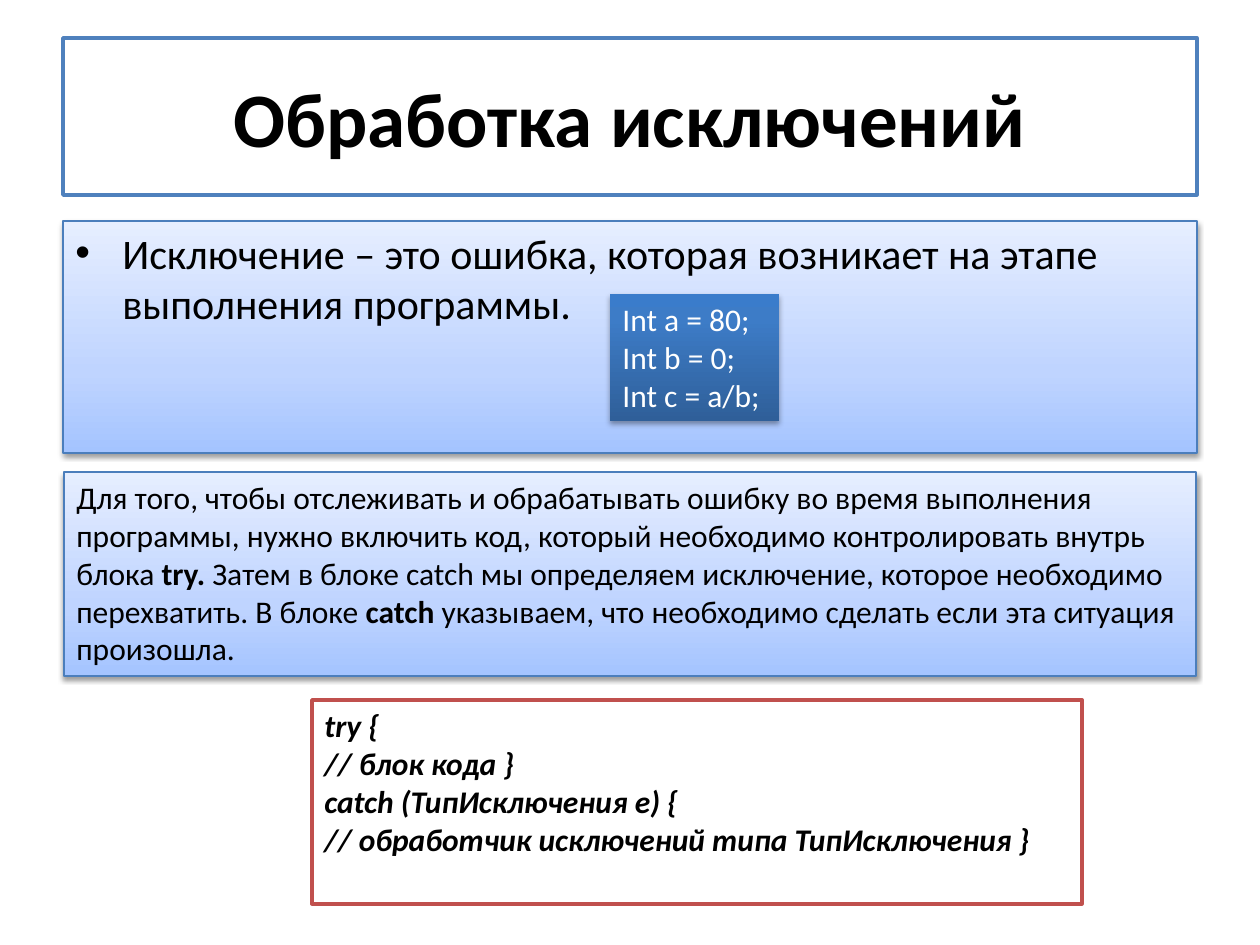
from copy import deepcopy

from lxml import etree
from pptx import Presentation
from pptx import util as u
from pptx.dml.color import RGBColor
from pptx.enum import shapes, text
from pptx.oxml.ns import qn

PX = u.Inches(1) / 126
PALE_BLUE = [(0, "A4C4FF"), (0.35, "BFD4FF"), (1, "E6EEFF")]
DEEP_BLUE = [(0, "2F5F99"), (0.8, "3D7CC7"), (1, "3A7CCB")]


def px(length):
    return u.Emu(round(length * PX))


def rgb(value):
    return RGBColor.from_string(value)


# Runs are (text, bold, italic).
panels = [
    dict(at=(63, 38, 1134, 157), fill="FFFFFF", line=("4F81BD", 2), size=44,
         lines=[[("Обработка исключений", True, False)]]),
    dict(at=(63, 221, 1134, 232), fill=PALE_BLUE, line=("4B7EBC", 0.75),
         shadow=(38, 1.57), size=24,
         lines=[[("Исключение – это ошибка, которая возникает на этапе "
                  "выполнения программы.", False, False)]]),
    dict(at=(610, 294, 169, 127), fill=DEEP_BLUE, shadow=(35, 1.81),
         size=18, color="FFFFFF",
         lines=[[(code, False, False)]
                for code in ("Int a = 80;", "Int b = 0;", "Int c = a/b;")]),
    dict(at=(64, 472, 1132, 204), fill=PALE_BLUE, line=("4B7EBC", 0.75),
         shadow=(38, 1.57), size=18,
         lines=[
             [("Для того, чтобы отслеживать и обрабатывать ошибку во время "
               "выполнения", False, False)],
             [("программы, нужно включить код, который необходимо "
               "контролировать внутрь", False, False)],
             [("блока ", False, False), ("try. ", True, False),
              ("Затем в блоке catch мы определяем исключение, которое "
               "необходимо", False, False)],
             [("перехватить. В блоке ", False, False), ("catch ", True, False),
              ("указываем, что необходимо сделать если эта ситуация",
               False, False)],
             [("произошла.", False, False)],
         ]),
    dict(at=(312, 700, 770, 204), fill="FFFFFF", line=("C0504D", 2), size=18,
         lines=[[(code, True, True)]
                for code in ("try {", "// блок кода }",
                             "catch (ТипИсключения e) {",
                             "// обработчик исключений типа ТипИсключения }")]),
]

deck = Presentation()
deck.slide_width, deck.slide_height = px(1260), px(945)
page = deck.slides.add_slide(deck.slide_layouts[6])

boxes = []
for panel in panels:
    box = page.shapes.add_shape(shapes.MSO_SHAPE.RECTANGLE, *map(px, panel["at"]))
    boxes.append(box)

    if isinstance(panel["fill"], str):
        box.fill.solid()
        box.fill.fore_color.rgb = rgb(panel["fill"])
    else:
        box.fill.gradient()
        box.fill.gradient_angle = 90
        stop_list = box._element.spPr.find(".//" + qn("a:gsLst"))
        stop_list.append(deepcopy(stop_list[0]))
        for stop, (position, color) in zip(box.fill.gradient_stops, panel["fill"]):
            stop.position = position
            stop.color.rgb = rgb(color)

    if "line" in panel:
        color, width = panel["line"]
        box.line.color.rgb = rgb(color)
        box.line.width = u.Pt(width)
    else:
        box.line.fill.background()

    box.shadow.inherit = False
    if "shadow" in panel:
        opacity, distance = panel["shadow"]
        effects = box._element.spPr.find(qn("a:effectLst"))
        shadow = etree.SubElement(
            effects, qn("a:outerShdw"), blurRad=str(u.Pt(3.15)),
            dist=str(u.Pt(distance)), dir="5400000", rotWithShape="0")
        tint = etree.SubElement(shadow, qn("a:srgbClr"), val="000000")
        etree.SubElement(tint, qn("a:alpha"), val=str(opacity * 1000))

    frame = box.text_frame
    frame.word_wrap = True
    frame.vertical_anchor = text.MSO_ANCHOR.TOP
    for index, line in enumerate(panel["lines"]):
        para = frame.add_paragraph() if index else frame.paragraphs[0]
        para.alignment = text.PP_ALIGN.LEFT
        for words, bold, italic in line:
            span = para.add_run()
            span.text = words
            span.font.name = "Calibri"
            span.font.size = u.Pt(panel["size"])
            span.font.bold = bold
            span.font.italic = italic
            span.font.color.rgb = rgb(panel.get("color", "000000"))

title, definition = boxes[:2]
title.text_frame.vertical_anchor = text.MSO_ANCHOR.MIDDLE
title.text_frame.paragraphs[0].alignment = text.PP_ALIGN.CENTER

bullet_para = definition.text_frame.paragraphs[0]
bullet_para.space_before = u.Pt(4.8)
properties = bullet_para._p.get_or_add_pPr()
properties.set("marL", str(px(47)))
properties.set("indent", str(-px(47)))
etree.SubElement(properties, qn("a:buFont"), typeface="Arial")
etree.SubElement(properties, qn("a:buChar"), char="•")

deck.save("out.pptx")
